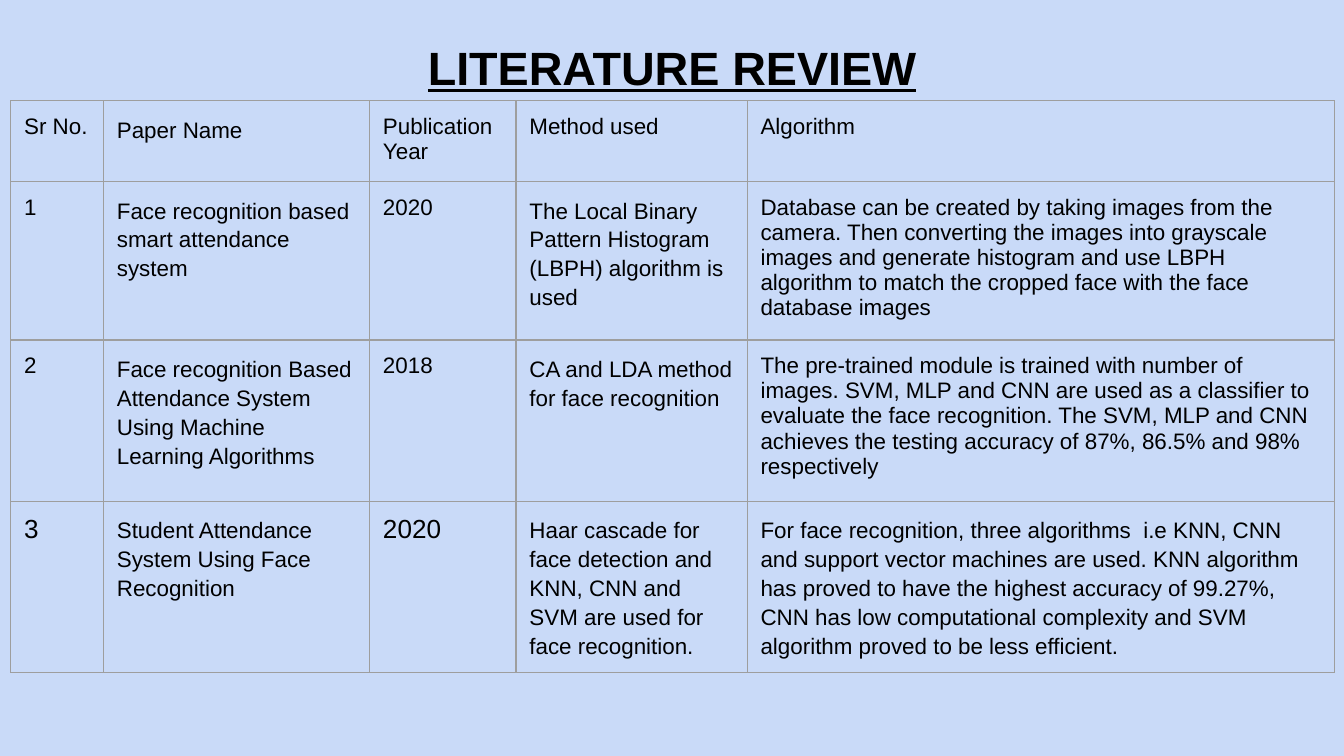
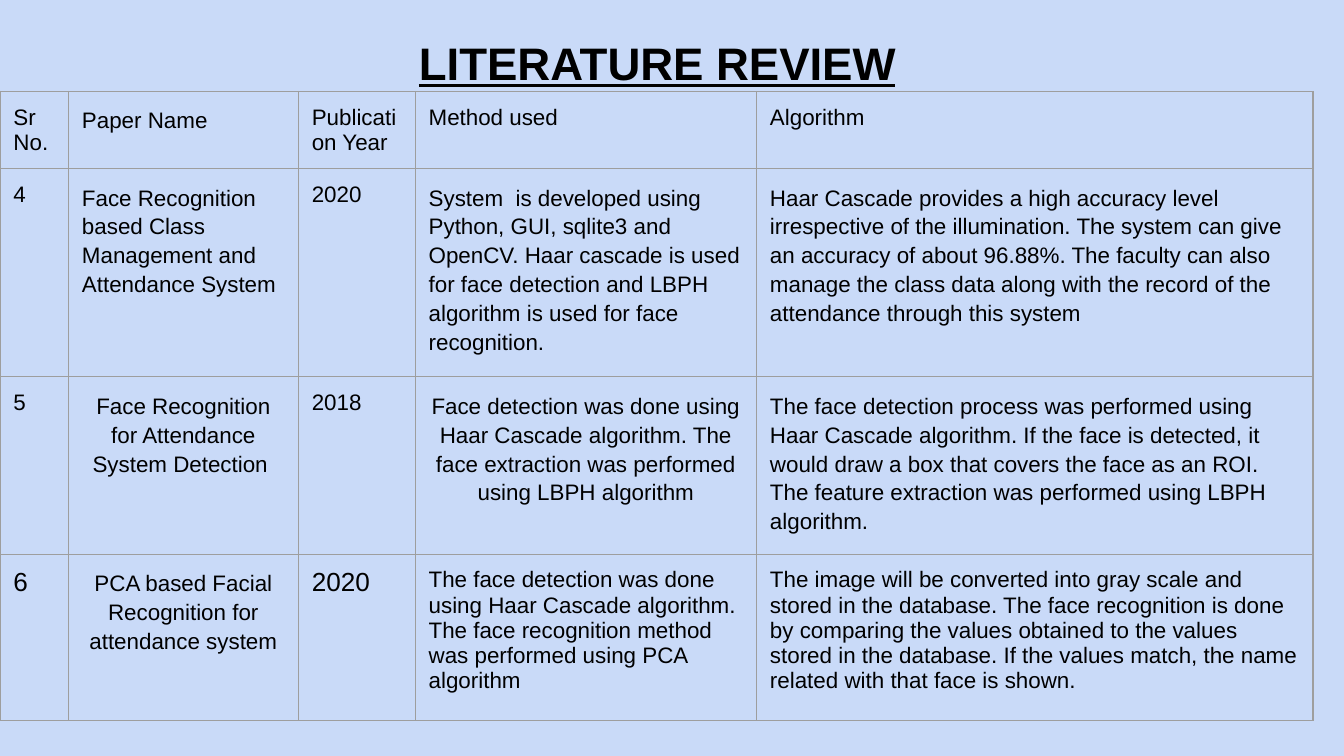
import pptx
import pptx.dml.color
import pptx.enum.text
import pptx.util
from lxml import etree
from pptx.oxml.ns import qn

Inches, Pt = pptx.util.Inches, pptx.util.Pt
RGBColor = pptx.dml.color.RGBColor
CENTER = pptx.enum.text.PP_ALIGN.CENTER

BACKGROUND = RGBColor(0xC9, 0xDA, 0xF8)
INK = RGBColor(0, 0, 0)
GRID = RGBColor(0x9E, 0x9E, 0x9E)
FONT = "Arial"
TITLE_ONLY = 5
MARGINS = {f"margin_{side}": Inches(0.1) for side in ("left", "top", "right", "bottom")}
TITLE_FRAME = MARGINS | {
    "word_wrap": True,
    "auto_size": pptx.enum.text.MSO_AUTO_SIZE.NONE,
    "vertical_anchor": pptx.enum.text.MSO_ANCHOR.TOP,
}
LOOSE = {"line_spacing": 1.15}
CENTERED = LOOSE | {"alignment": CENTER}


def loose(text):
    return text, LOOSE


def centered(text):
    return text, CENTERED


HEADER = ["Sr No.", loose("Paper Name"), "Publication Year", "Method used", "Algorithm"]

PAPERS_1_TO_3 = [
    ["1", loose("Face recognition based smart attendance system"), "2020",
     loose("The Local Binary Pattern Histogram (LBPH) algorithm is used"),
     "Database can be created by taking images from the camera. Then converting the images "
     "into grayscale images and generate histogram and use LBPH algorithm to match the "
     "cropped face with the face database images"],
    ["2", loose("Face recognition Based Attendance System Using Machine Learning Algorithms"),
     "2018", loose("CA and LDA method for face recognition"),
     "The pre-trained module is trained with number of images. SVM, MLP and CNN are used as "
     "a classifier to evaluate the face recognition. The SVM, MLP and CNN achieves the "
     "testing accuracy of 87%, 86.5% and 98% respectively"],
    ["3", loose("Student Attendance System Using Face Recognition"), "2020",
     loose("Haar cascade for face detection and KNN, CNN and SVM are used for face recognition."),
     loose("For face recognition, three algorithms  i.e KNN, CNN and support vector machines "
           "are used. KNN algorithm has proved to have the highest accuracy of 99.27%, CNN has "
           "low computational complexity and SVM algorithm proved to be less efficient.")],
]

PAPERS_4_TO_6 = [
    ["4", loose("Face Recognition based Class Management and Attendance System"), "2020",
     loose("System  is developed using Python, GUI, sqlite3 and OpenCV. Haar cascade is used "
           "for face detection and LBPH algorithm is used for face recognition."),
     loose("Haar Cascade provides a high accuracy level irrespective of the illumination. The "
           "system can give an accuracy of about 96.88%. The faculty can also manage the class "
           "data along with the record of the attendance through this system")],
    ["5", centered("Face Recognition for Attendance System Detection "), "2018",
     centered("Face detection was done using Haar Cascade algorithm. The face extraction was "
              "performed using LBPH algorithm"),
     loose("The face detection process was performed using Haar Cascade algorithm. If the face "
           "is detected, it would draw a box that covers the face as an ROI. The feature "
           "extraction was performed using LBPH algorithm.")],
    ["6", centered("PCA based Facial Recognition for attendance system"), "2020",
     "The face detection was done using Haar Cascade algorithm. The face recognition method "
     "was performed using PCA algorithm",
     "The image will be converted into gray scale and stored in the database. The face "
     "recognition is done by comparing the values obtained to the values stored in the "
     "database. If the values match, the name related with that face is shown."],
]


def set_attributes(target, values):
    for name, value in values.items():
        setattr(target, name, value)


def write(tf, text, size, paragraph_format, **font_format):
    p = tf.paragraphs[0]
    set_attributes(p, paragraph_format)
    r = p.add_run()
    r.text = text
    set_attributes(r.font, {"name": FONT, "size": Pt(size)} | font_format)
    r.font.color.rgb = INK


def add_title(s, box, size):
    title = s.shapes.title
    set_attributes(title, dict(zip(("left", "top", "width", "height"), map(Inches, box))))
    set_attributes(title.text_frame, TITLE_FRAME)
    write(title.text_frame, "LITERATURE REVIEW", size, {"alignment": CENTER},
          bold=True, underline=True)


def add_borders(cell):
    tc_pr = cell._tc.get_or_add_tcPr()
    for side in "LRTB":
        line = etree.SubElement(tc_pr, qn(f"a:ln{side}"), w=str(Pt(0.75)))
        fill = etree.SubElement(line, qn("a:solidFill"))
        etree.SubElement(fill, qn("a:srgbClr"), val=str(GRID))


def add_papers_table(s, box, widths, heights, papers):
    """Draw the header and papers; the last paper has a larger number and year."""
    rows = [HEADER, *papers]
    table = s.shapes.add_table(len(rows), len(HEADER), *map(Inches, box)).table
    table.first_row = table.horz_banding = False
    for column, width in zip(table.columns, widths):
        column.width = Inches(width)
    for row, height in zip(table.rows, heights):
        row.height = Inches(height)
    for i, row in enumerate(rows):
        for j, content in enumerate(row):
            text, paragraph_format = (content, {}) if isinstance(content, str) else content
            cell = table.cell(i, j)
            add_borders(cell)
            cell.fill.background()
            set_attributes(cell, MARGINS)
            size = 14 if i == len(papers) and j in (0, 2) else 12
            write(cell.text_frame, text, size, paragraph_format)


def add_review_slide(prs, title_box, title_size, table_box, widths, heights, papers):
    s = prs.slides.add_slide(prs.slide_layouts[TITLE_ONLY])
    add_title(s, title_box, title_size)
    add_papers_table(s, table_box, widths, heights, papers)


def main():
    prs = pptx.Presentation()
    prs.slide_width = Inches(10)
    prs.slide_height = prs.slide_width * 9 // 16
    fill = prs.slide_master.background.fill
    fill.solid()
    fill.fore_color.rgb = BACKGROUND
    add_review_slide(prs, (0.34, 0.19, 9.32, 0.63), 25, (0.08, 0.75, 9.84, 4.33),
                     (0.69, 1.98, 1.09, 1.72, 4.37), (0.6, 1.18, 1.2, 0.87), PAPERS_1_TO_3)
    add_review_slide(prs, (0.12, 0.16, 9.54, 0.63), 24.4, (0, 0.68, 9.77, 4.73),
                     (0.51, 1.71, 0.87, 2.54, 4.14), (0.52, 1.55, 1.32, 1.24), PAPERS_4_TO_6)
    prs.save("out.pptx")


if __name__ == "__main__":
    main()
